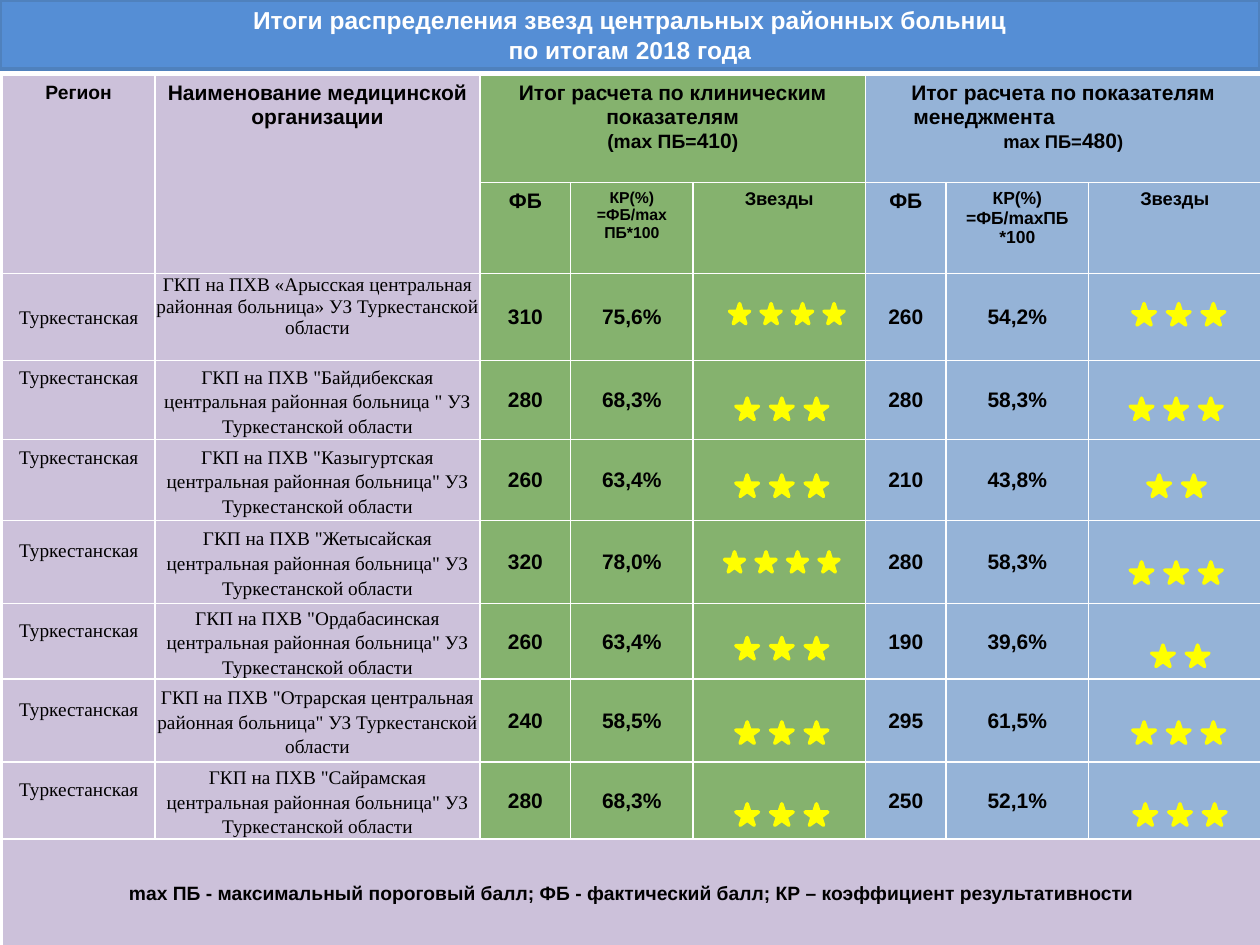
from dataclasses import dataclass
from typing import NamedTuple

from lxml import etree
from pptx import Presentation
from pptx import util as u
from pptx.dml.color import RGBColor
from pptx.enum import shapes, text
from pptx.oxml import ns

CENTER, LEFT = text.PP_ALIGN.CENTER, text.PP_ALIGN.LEFT
TOP, MIDDLE = text.MSO_ANCHOR.TOP, text.MSO_ANCHOR.MIDDLE


@dataclass(frozen=True)
class Theme:
    sans: str = "Arial"
    serif: str = "Times New Roman"
    ink: str = "000000"
    white: str = "FFFFFF"
    title_fill: str = "558ED5"
    title_line: str = "4F81BD"
    lilac: str = "CCC1DA"
    green: str = "85B26E"
    blue: str = "95B3D7"
    star: str = "FFFF00"
    title_size: float = 14
    large: float = 12
    body: float = 11
    small: float = 10.5
    ratio_blue: float = 10
    ratio_green: float = 9


THEME = Theme()


class Run(NamedTuple):
    text: str
    size: float = THEME.large
    font: str = THEME.sans
    color: str = THEME.ink


class Line(NamedTuple):
    runs: list[Run]
    align: int = CENTER
    spacing: float = 1.0
    indent: float = 0


class Insets(NamedTuple):
    left: float = 0.1
    top: float = 0.05
    right: float = 0.1
    bottom: float = 0.05


class Score(NamedTuple):
    points: str
    ratio: str
    stars: int
    stars_left: float
    stars_top: float


class Hospital(NamedTuple):
    name: str
    region_lift: float  # bottom inset that raises the region name
    clinical: Score
    management: Score


TIGHT = Insets(0.01, 0.01, 0.01, 0)
REGION = "Туркестанская"
COLUMNS = [1.21, 2.58, 0.72, 0.97, 1.37, 0.64, 1.13, 1.37]
ROWS = [0.85, 0.72, 0.69, 0.63, 0.64, 0.66, 0.6, 0.66, 0.61, 0.85]
COLUMN_FILLS = [THEME.lilac] * 2 + [THEME.green] * 3 + [THEME.blue] * 3
HOSPITALS = [
    Hospital('ГКП на ПХВ «Арысская центральная районная больница» УЗ Туркестанской области', 0,
             Score("310", "75,6%", 4, 5.79, 2.41), Score("260", "54,2%", 3, 8.99, 2.41)),
    Hospital('ГКП на ПХВ "Байдибекская центральная районная больница " УЗ Туркестанской области', 0.38,
             Score("280", "68,3%", 3, 5.84, 3.16), Score("280", "58,3%", 3, 8.97, 3.16)),
    Hospital('ГКП на ПХВ "Казыгуртская центральная районная больница" УЗ Туркестанской области', 0.38,
             Score("260", "63,4%", 3, 5.84, 3.77), Score("210", "43,8%", 2, 9.11, 3.77)),
    Hospital('ГКП на ПХВ "Жетысайская центральная районная больница" УЗ Туркестанской области', 0.19,
             Score("320", "78,0%", 4, 5.75, 4.38), Score("280", "58,3%", 3, 8.97, 4.46)),
    Hospital('ГКП на ПХВ "Ордабасинская центральная районная больница" УЗ Туркестанской области', 0.19,
             Score("260", "63,4%", 3, 5.84, 5.06), Score("190", "39,6%", 2, 9.14, 5.12)),
    Hospital('ГКП на ПХВ "Отрарская центральная районная больница" УЗ Туркестанской области', 0.19,
             Score("240", "58,5%", 3, 5.84, 5.73), Score("295", "61,5%", 3, 8.99, 5.73)),
    Hospital('ГКП на ПХВ "Сайрамская центральная районная больница" УЗ Туркестанской области', 0.19,
             Score("280", "68,3%", 3, 5.84, 6.38), Score("250", "52,1%", 3, 9, 6.38)),
]
FOOTNOTE = ("mах ПБ - максимальный пороговый балл; ФБ - фактический балл; "
            "КР – коэффициент результативности")


def rgb(color: str) -> RGBColor:
    return RGBColor.from_string(color)


def write(frame, lines: list[Line]) -> None:
    for index, line in enumerate(lines):
        paragraph = frame.add_paragraph() if index else frame.paragraphs[0]
        paragraph.alignment, paragraph.line_spacing = line.align, line.spacing
        if line.indent:
            paragraph._p.get_or_add_pPr().set("marL", str(u.Inches(line.indent)))
        for item in line.runs:
            for part, piece in enumerate(item.text.split("\n")):
                if part:
                    paragraph.add_line_break()
                run = paragraph.add_run()
                run.text = piece
                look = {"size": u.Pt(item.size), "name": item.font, "bold": item.font == THEME.sans}
                for name, value in look.items():
                    setattr(run.font, name, value)
                run.font.color.rgb = rgb(item.color)


def add_border(cell) -> None:
    properties = cell._tc.get_or_add_tcPr()
    for side in ("lnL", "lnR", "lnT", "lnB"):
        edge = etree.SubElement(properties, ns.qn(f"a:{side}"), w=str(u.Pt(1)))
        fill = etree.SubElement(edge, ns.qn("a:solidFill"))
        etree.SubElement(fill, ns.qn("a:srgbClr"), val=THEME.white)


def fill_cell(cell, lines: list[Line], anchor: int = TOP, insets: Insets = Insets()) -> None:
    cell.vertical_anchor = anchor
    for side, value in insets._asdict().items():
        setattr(cell, f"margin_{side}", u.Inches(value))
    write(cell.text_frame, lines)


def plain(value: str, size: float = THEME.large) -> list[Line]:
    return [Line([Run(value, size)])]


def total(prefix: str, points: str, size: float) -> Line:
    return Line([Run(prefix, size), Run(points), Run(")", size)])


def add_title(slide) -> None:
    shape = slide.shapes.add_shape(shapes.MSO_SHAPE.RECTANGLE, 0, 0, u.Inches(10), u.Inches(0.55))
    shape.shadow.inherit = False
    shape.fill.solid()
    shape.fill.fore_color.rgb = rgb(THEME.title_fill)
    shape.line.color.rgb = rgb(THEME.title_line)
    shape.line.width = u.Pt(2)
    shape.text_frame.vertical_anchor = MIDDLE
    write(shape.text_frame, [Line([Run(
        "Итоги распределения звезд центральных районных больниц\nпо итогам 2018 года",
        THEME.title_size, color=THEME.white)])])


def add_header(table) -> None:
    for first, last in (((0, 0), (1, 0)), ((0, 1), (1, 1)), ((0, 2), (0, 4)), ((0, 5), (0, 7))):
        table.cell(*first).merge(table.cell(*last))
    fill_cell(table.cell(0, 0), plain("Регион", THEME.body))
    fill_cell(table.cell(0, 1), plain("Наименование медицинской организации"))
    fill_cell(table.cell(0, 2), plain("Итог расчета по клиническим показателям")
              + [total("(mах ПБ=", "410", THEME.body)])
    fill_cell(table.cell(0, 5), plain("Итог расчета по показателям")
              + [Line([Run("менеджмента")], LEFT, indent=0.28),
                 total("mах ПБ=", "480", THEME.small)])
    for column, formula, size in ((2, "=ФБ/mах ПБ*100", THEME.ratio_green),
                                  (5, "=ФБ/mахПБ *100", THEME.ratio_blue)):
        fill_cell(table.cell(1, column), plain("ФБ"))
        fill_cell(table.cell(1, column + 1), plain("КР(%)", size) + plain(formula, size))
        fill_cell(table.cell(1, column + 2), plain("Звезды", THEME.small))


def add_hospital(table, row: int, hospital: Hospital) -> None:
    first = row == 2
    region, name = (Run(value, THEME.body, THEME.serif) for value in (REGION, hospital.name))
    fill_cell(table.cell(row, 0), [Line([region], spacing=1.15)], MIDDLE,
              Insets(0.07, 0, 0.07, hospital.region_lift))
    fill_cell(table.cell(row, 1), [Line([name], spacing=1.0 if first else 1.15)],
              TOP if first else MIDDLE, TIGHT)
    for column, score in ((2, hospital.clinical), (5, hospital.management)):
        fill_cell(table.cell(row, column), plain(score.points), MIDDLE, TIGHT)
        fill_cell(table.cell(row, column + 1), plain(score.ratio), MIDDLE, TIGHT)


def add_table(slide) -> None:
    table = slide.shapes.add_table(len(ROWS), len(COLUMNS), u.Inches(0.02), u.Inches(0.6),
                                   u.Inches(sum(COLUMNS)), u.Inches(sum(ROWS))).table
    table.first_row = table.horz_banding = False
    for column, width in zip(table.columns, COLUMNS):
        column.width = u.Inches(width)
    for row, height in zip(table.rows, ROWS):
        row.height = u.Inches(height)
        for cell, color in zip(row.cells, COLUMN_FILLS):
            add_border(cell)
            cell.fill.solid()
            cell.fill.fore_color.rgb = rgb(color)
    add_header(table)
    for row, hospital in enumerate(HOSPITALS, start=2):
        add_hospital(table, row, hospital)
    last = len(ROWS) - 1
    table.cell(last, 0).merge(table.cell(last, len(COLUMNS) - 1))
    fill_cell(table.cell(last, 0), [Line([Run(FOOTNOTE, THEME.body)], spacing=1.15)],
              MIDDLE, Insets(0.07, 0, 0.07, 0))


def add_stars(slide, score: Score) -> None:
    """Draw one group of stars; four stars are set smaller and closer."""
    width, height, pitch = (0.16, 0.16, 0.25) if score.stars == 4 else (0.18, 0.17, 0.55 / 2)
    group = slide.shapes.add_group_shape()
    for index in range(score.stars):
        star = group.shapes.add_shape(
            shapes.MSO_SHAPE.STAR_5_POINT, u.Inches(score.stars_left + index * pitch),
            u.Inches(score.stars_top), u.Inches(width), u.Inches(height))
        star.shadow.inherit = False
        star.fill.solid()
        star.fill.fore_color.rgb = star.line.color.rgb = rgb(THEME.star)
        star.line.width = u.Pt(2)


def main() -> None:
    presentation = Presentation()
    presentation.slide_width, presentation.slide_height = u.Inches(10), u.Inches(7.5)
    slide = presentation.slides.add_slide(presentation.slide_layouts[6])
    add_title(slide)
    add_table(slide)
    for hospital in HOSPITALS:
        add_stars(slide, hospital.clinical)
        add_stars(slide, hospital.management)
    presentation.save("out.pptx")


if __name__ == "__main__":
    main()
